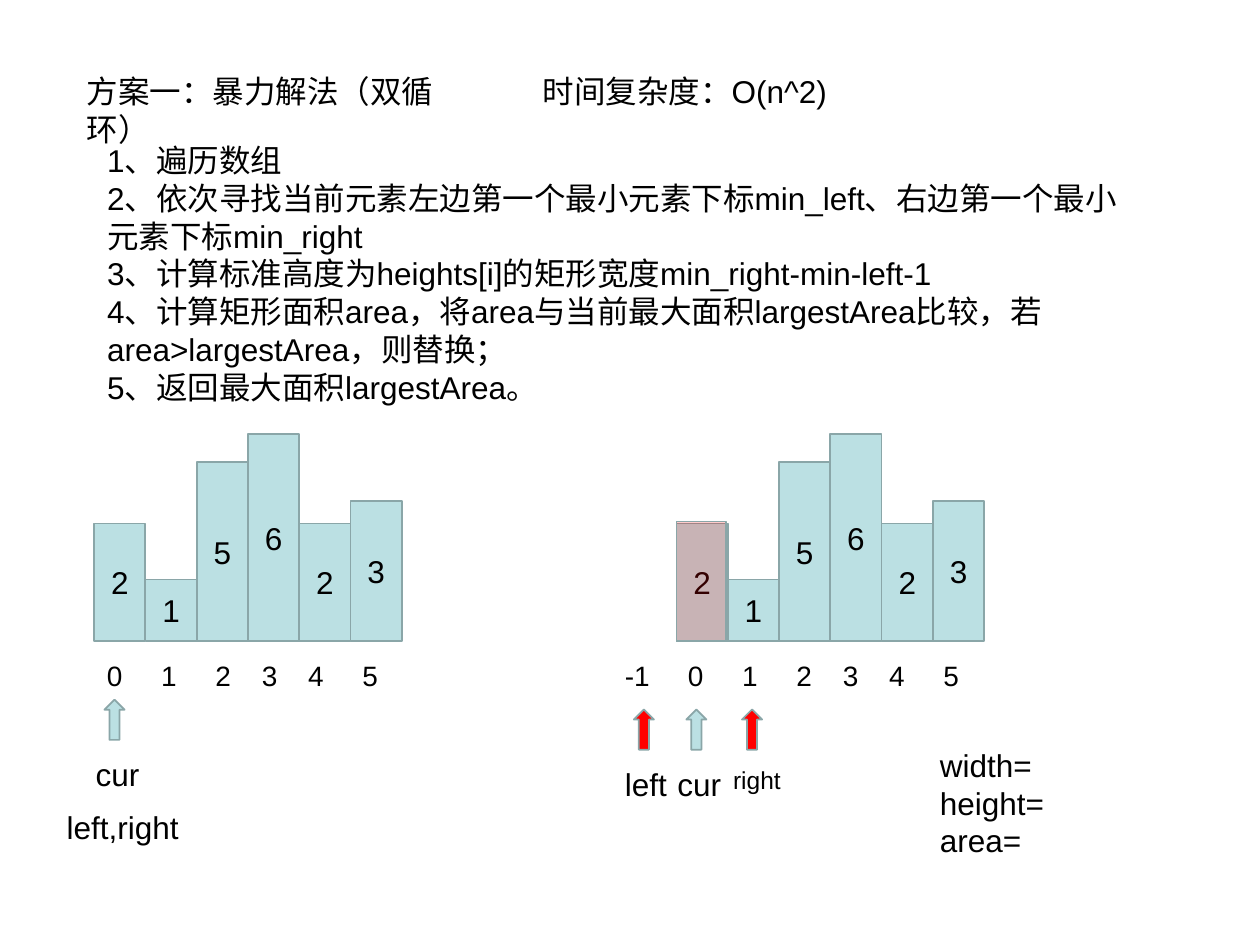
import pptx
import pptx.util
import pptx.dml.color
import pptx.enum.shapes
import pptx.enum.text
import pptx.oxml
import pptx.oxml.ns

Pt = pptx.util.Pt
Kind = pptx.enum.shapes.MSO_SHAPE
Align = pptx.enum.text.PP_ALIGN
Anchor = pptx.enum.text.MSO_ANCHOR
TEAL, EDGE, RED, BLACK = "BBE0E3", "8AA6A8", "FF0000", "000000"


def color(hue):
    return pptx.dml.color.RGBColor.from_string(hue)


def write(shape, lines, size=18, align=Align.LEFT, anchor=Anchor.TOP):
    frame = shape.text_frame
    frame.text = "\n".join(lines)
    look = {"word_wrap": True, "vertical_anchor": anchor,
            "auto_size": pptx.enum.text.MSO_AUTO_SIZE.NONE}
    for key, value in look.items():
        setattr(frame, key, value)
    for para in frame.paragraphs:
        para.alignment = align
        para.space_before = Pt(0)
        for run in para.runs:
            run.font.size = Pt(size)
            run.font.name = "Arial"
            run.font.color.rgb = color(BLACK)


deck = pptx.Presentation()
deck.slide_width, deck.slide_height = Pt(720), Pt(540)
slide = deck.slides.add_slide(deck.slide_layouts[1])
shapes = slide.shapes

# Title and steps
title, steps = slide.placeholders
heads = [
    (title, (42.5, 37.5, 240, 29), ["方案一：暴力解法（双循环）"]),
    (steps, (54, 77, 597.6, 160), [
        "1、遍历数组",
        "2、依次寻找当前元素左边第一个最小元素下标min_left、右边第一个最小元素下标min_right",
        "3、计算标准高度为heights[i]的矩形宽度min_right-min-left-1",
        "4、计算矩形面积area，将area与当前最大面积largestArea比较，若area>largestArea，则替换；",
        "5、返回最大面积largestArea。"]),
]
for holder, box, lines in heads:
    holder.left, holder.top, holder.width, holder.height = map(Pt, box)
    write(holder, lines)
for para in steps.text_frame.paragraphs:
    props = para._p.get_or_add_pPr()
    props.set("marL", "0")
    props.set("indent", "0")
    pptx.oxml.ns.qn("a:buNone")
    props.append(pptx.oxml.parse_xml(
        f'<a:buNone {pptx.oxml.ns.nsdecls("a")}/>'))

# Histograms: bar values, heights and index tab stops
BASE, STEP = 366.2, 29.3
bars = [(2, 67), (1, 35), (5, 102), (6, 118), (2, 67), (3, 80)]
stops = [0, 31, 62, 88.5, 115, 146]
charts = [(53.8, 54, 182, 0, ["0"]), (386.6, 350, 218, 36, ["-1", "0"])]
for left, edge, width, shift, first in charts:
    for i, (value, tall) in enumerate(bars):
        bar = shapes.add_shape(Kind.RECTANGLE, Pt(left + i * STEP),
                               Pt(BASE - tall), Pt(STEP), Pt(tall))
        bar.shadow.inherit = False
        bar.fill.solid()
        bar.fill.fore_color.rgb = color(TEAL)
        bar.line.color.rgb = color(EDGE)
        bar.line.width = Pt(1)
        write(bar, [str(value)], 18, Align.CENTER, Anchor.MIDDLE)
    label = shapes.add_textbox(Pt(edge), Pt(373), Pt(width), Pt(27))
    write(label, ["\t".join(first + list("12345"))], 16)
    tabs = "".join(f'<a:tab pos="{Pt(stop + shift)}" algn="l"/>'
                   for stop in stops if stop + shift)
    label.text_frame.paragraphs[0]._p.get_or_add_pPr().append(
        pptx.oxml.parse_xml(f'<a:tabLst {pptx.oxml.ns.nsdecls("a")}>'
                            f'{tabs}</a:tabLst>'))

# Pointers with their names
marks = [("cur", 47.5, 399.8, TEAL, 18), ("cur", 380, 405.4, TEAL, 18),
         ("left", 350, 405.4, RED, 18), ("right", 411.8, 405.4, RED, 14)]
for name, left, top, hue, size in marks:
    arrow = shapes.add_shape(Kind.UP_ARROW, Pt(left + 12.2), Pt(top),
                             Pt(11.5), Pt(23))
    arrow.shadow.inherit = False
    arrow.fill.solid()
    arrow.fill.fore_color.rgb = color(hue)
    arrow.line.color.rgb = color(EDGE)
    arrow.line.width = Pt(1)
    note = shapes.add_textbox(Pt(left), Pt(top + 28.3), Pt(43), Pt(29))
    write(note, [name], size)

# Highlight on the current bar
glow = shapes.add_shape(Kind.RECTANGLE, Pt(386.6), Pt(298), Pt(28.4), Pt(68.2))
glow.shadow.inherit = False
glow.fill.solid()
glow.fill.fore_color.rgb = color(RED)
glow.line.color.rgb = color(EDGE)
glow.line.width = Pt(1)
tint = glow.fill._xPr.find(".//" + pptx.oxml.ns.qn("a:srgbClr"))
tint.append(pptx.oxml.parse_xml(
    f'<a:alpha {pptx.oxml.ns.nsdecls("a")} val="20000"/>'))

# Other text
notes = [(["left,right"], 31, 458, 79, 29),
         (["width=", "height=", "area="], 530, 422.6, 240, 73),
         (["时间复杂度：O(n^2)"], 303, 37.5, 240, 29)]
for lines, *box in notes:
    write(shapes.add_textbox(*map(Pt, box)), lines)

deck.save("out.pptx")
